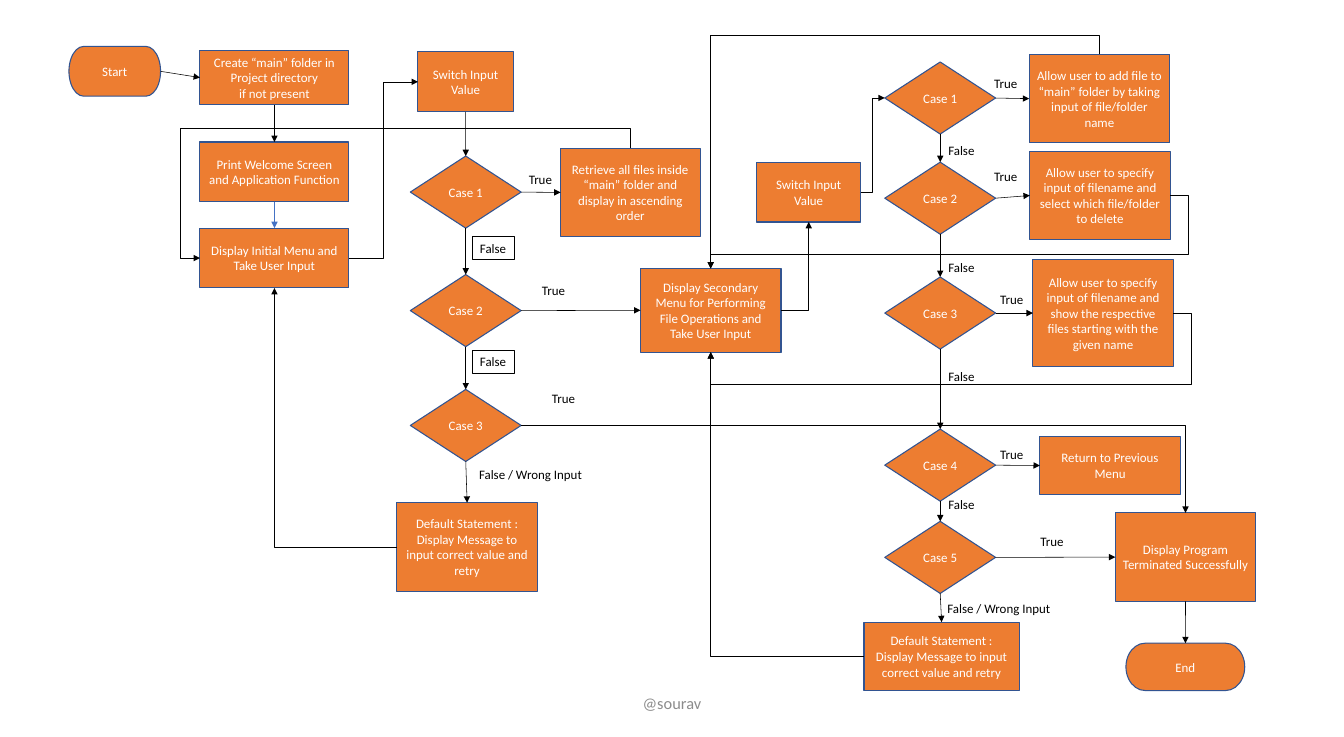
from dataclasses import dataclass

from lxml.etree import SubElement
from pptx import Presentation
from pptx.dml.color import RGBColor
from pptx.enum.shapes import MSO_CONNECTOR, MSO_SHAPE
from pptx.enum.text import MSO_ANCHOR, PP_ALIGN
from pptx.oxml.ns import qn
from pptx.util import Cm, Pt


@dataclass(frozen=True)
class Theme:
    font: str = "Calibri"
    size: float = 12
    foot: float = 15.2
    fill: str = "ED7D31"
    edge: str = "325491"
    light: str = "FFFFFF"
    dark: str = "000000"
    blue: str = "4472C4"
    grey: str = "8C8C8C"


THEME = Theme()
RECT = MSO_SHAPE.RECTANGLE
STEP = MSO_SHAPE.FLOWCHART_PROCESS
TEST = MSO_SHAPE.FLOWCHART_DECISION
CAP = MSO_SHAPE.FLOWCHART_TERMINATOR
TOP, LEFT, LOW, RIGHT = range(4)
WIDTHS = {"True": 1.27, "False": 1.37, "False / Wrong Input": 3.91}
RETRY = "Default Statement : Display Message to input correct value and retry"


def rgb(code):
    return RGBColor.from_string(code)


def write(shape, text, color, size=THEME.size, align=PP_ALIGN.CENTER):
    frame = shape.text_frame
    frame.text = text
    for para in frame.paragraphs:
        para.alignment = align
        for run in para.runs:
            run.font.name = THEME.font
            run.font.size = Pt(size)
            run.font.color.rgb = rgb(color)
    return frame


# Draws parts at offsets (in cm) from the corner of one region
class Region:
    def __init__(self, slide, x, y):
        self.shapes, self.x, self.y = slide.shapes, x, y

    def place(self, x, y, w, h):
        return Cm(self.x + x), Cm(self.y + y), Cm(w), Cm(h)

    def node(self, kind, text, x, y, w, h):
        shape = self.shapes.add_shape(kind, *self.place(x, y, w, h))
        shape.shadow.inherit = False
        shape.fill.solid()
        shape.fill.fore_color.rgb = rgb(THEME.fill)
        shape.line.color.rgb = rgb(THEME.edge)
        shape.line.width = Pt(1)
        frame = write(shape, text, THEME.light)
        frame.word_wrap = True
        frame.vertical_anchor = MSO_ANCHOR.MIDDLE
        return shape

    def cases(self, x, tops):
        return [self.node(TEST, f"Case {n}", x, y, 3.63, 2.36)
                for n, y in enumerate(tops, 1)]

    def label(self, text, x, y, framed=False):
        box = self.shapes.add_textbox(*self.place(x, y, WIDTHS[text], 0.76))
        write(box, text, THEME.dark, align=PP_ALIGN.LEFT).word_wrap = False
        if framed:
            box.line.color.rgb = rgb(THEME.dark)
            box.line.width = Pt(0.75)


# Joins two nodes; bends counts the segments of an elbow, 1 is straight
def link(slide, start, out, end, into, bends=1, adjust=(), color=THEME.dark):
    kind = MSO_CONNECTOR.STRAIGHT if bends == 1 else MSO_CONNECTOR.ELBOW
    line = slide.shapes.add_connector(kind, 0, 0, 0, 0)
    line.begin_connect(start, out)
    line.end_connect(end, into)
    line.line.color.rgb = rgb(color)
    line.line.width = Pt(0.5)
    props = line._element.spPr
    SubElement(props.find(qn("a:ln")), qn("a:tailEnd"), type="triangle")
    SubElement(props, qn("a:effectLst"))
    if bends == 1:
        return
    geom = props.find(qn("a:prstGeom"))
    geom.set("prst", f"bentConnector{bends}")
    for n, value in enumerate(adjust, 1):
        SubElement(geom.find(qn("a:avLst")), qn("a:gd"), name=f"adj{n}",
                   fmla=f"val {round(value * 100000)}")
    # An elbow that leaves upward is a sideways one turned a quarter
    if out == TOP:
        w, h = line.width, line.height
        line.left += (w - h) // 2
        line.top += (h - w) // 2
        line.width, line.height = h, w
        frame = props.find(qn("a:xfrm"))
        for name, value in (("rot", "16200000"), ("flipH", "1"), ("flipV", "1")):
            frame.set(name, value)


def chain(slide, nodes):
    for upper, lower in zip(nodes, nodes[1:]):
        link(slide, upper, LOW, lower, TOP)


# Start, folder and first menu
def setup(slide, x, y):
    part = Region(slide, x, y)
    start = part.node(CAP, "Start", 0, 0, 3, 1.63)
    make = part.node(RECT, "Create “main” folder in Project directory\nif not present",
                     4.29, 0.13, 4.88, 1.78)
    greet = part.node(RECT, "Print Welcome Screen and Application Function",
                      4.29, 3.13, 4.88, 1.96)
    menu = part.node(RECT, "Display Initial Menu and Take User Input",
                     4.29, 5.95, 4.88, 1.96)
    link(slide, start, RIGHT, make, LEFT)
    link(slide, make, LOW, greet, TOP)
    link(slide, greet, LOW, menu, TOP, color=THEME.blue)
    return menu


# Switch on the first menu
def choose(slide, x, y, menu):
    part = Region(slide, x, y)
    switch = part.node(RECT, "Switch Input\nValue", 0.69, 0, 3.12, 1.96)
    cases = part.cases(0.44, (3.41, 7.29, 11.05))
    fetch = part.node(STEP, "Retrieve all files inside “main” folder and display "
                      "in ascending order", 5.36, 3.15, 4.57, 2.9)
    retry = part.node(STEP, RETRY, 0, 14.76, 4.6, 2.9)
    for left, top in ((4.07, 3.79), (4.5, 7.44), (4.83, 10.97)):
        part.label("True", left, top)
    for top in (6.05, 9.76):
        part.label("False", 2.47, top, framed=True)
    part.label("False / Wrong Input", 2.44, 13.44)
    chain(slide, [switch, *cases, retry])
    link(slide, menu, RIGHT, switch, LEFT, 3)
    link(slide, cases[0], RIGHT, fetch, LEFT)
    link(slide, fetch, TOP, menu, LEFT, 4, (-0.18, 1.045))
    link(slide, retry, LEFT, menu, LOW, 2)
    return cases


# Second menu and its switch on file operations
def files(slide, x, y, entry):
    part = Region(slide, x, y)
    menu = part.node(STEP, "Display Secondary Menu for Performing File Operations "
                     "and Take User Input", 0, 7.01, 4.6, 2.74)
    switch = part.node(RECT, "Switch Input\nValue", 3.81, 3.53, 3.4, 1.96)
    cases = part.cases(8, (0.25, 3.53, 7.29, 12.27, 15.29))
    deeds = [part.node(STEP, text, left, top, 4.6, high) for text, left, top, high in (
        ("Allow user to add file to “main” folder by taking input of file/folder name",
         12.73, 0, 2.9),
        ("Allow user to specify input of filename and select which file/folder to delete",
         12.75, 3.17, 2.9),
        ("Allow user to specify input of filename and show the respective files "
         "starting with the given name", 12.85, 6.73, 3.48),
        ("Return to Previous Menu", 13.08, 12.52, 1.88))]
    retry = part.node(STEP, RETRY, 7.32, 18.59, 5.08, 2.24)
    for left, top in ((11.33, 0.58), (11.33, 3.63), (11.53, 7.64),
                      (11.53, 12.72), (12.85, 15.57)):
        part.label("True", left, top)
    for top in (2.77, 6.6, 10.16, 14.37):
        part.label("False", 9.83, top)
    part.label("False / Wrong Input", 9.8, 17.75)
    chain(slide, [*cases, retry])
    for case, deed in zip(cases, deeds):
        link(slide, case, RIGHT, deed, LEFT)
    link(slide, entry, RIGHT, menu, LEFT)
    link(slide, menu, RIGHT, switch, LOW, 2)
    link(slide, switch, RIGHT, cases[0], LEFT, 3)
    add, delete, find, _ = deeds
    link(slide, add, TOP, menu, TOP, 3, (-0.09,))
    link(slide, delete, RIGHT, menu, TOP, 4, (-0.04, 0.8))
    link(slide, find, RIGHT, menu, LOW, 4, (-0.04, 1.83))
    link(slide, retry, LEFT, menu, LOW, 2)
    return cases[-1]


# Closing message and end
def close(slide, x, y, quit, last):
    part = Region(slide, x, y)
    done = part.node(STEP, "Display Program Terminated Successfully", 0, 0, 4.6, 2.9)
    end = part.node(CAP, "End", 0.35, 4.27, 3.89, 1.55)
    link(slide, quit, RIGHT, done, TOP, 2)
    link(slide, last, RIGHT, done, LEFT)
    link(slide, done, LOW, end, TOP)


def footer(slide, x, y, w, h):
    box = slide.shapes.add_textbox(Cm(x), Cm(y), Cm(w), Cm(h))
    frame = write(box, "@sourav", THEME.grey, THEME.foot)
    frame.word_wrap = True
    frame.vertical_anchor = MSO_ANCHOR.MIDDLE


deck = Presentation()
deck.slide_width, deck.slide_height = Cm(44.02), Cm(24.13)
slide = deck.slides.add_slide(deck.slide_layouts[6])
first = setup(slide, 2.26, 1.52)
picks = choose(slide, 13, 1.7, first)
last = files(slide, 20.98, 1.78, picks[1])
close(slide, 36.53, 16.79, picks[2], last)
footer(slide, 14.58, 22.38, 14.86, 1.3)
deck.save("out.pptx")
